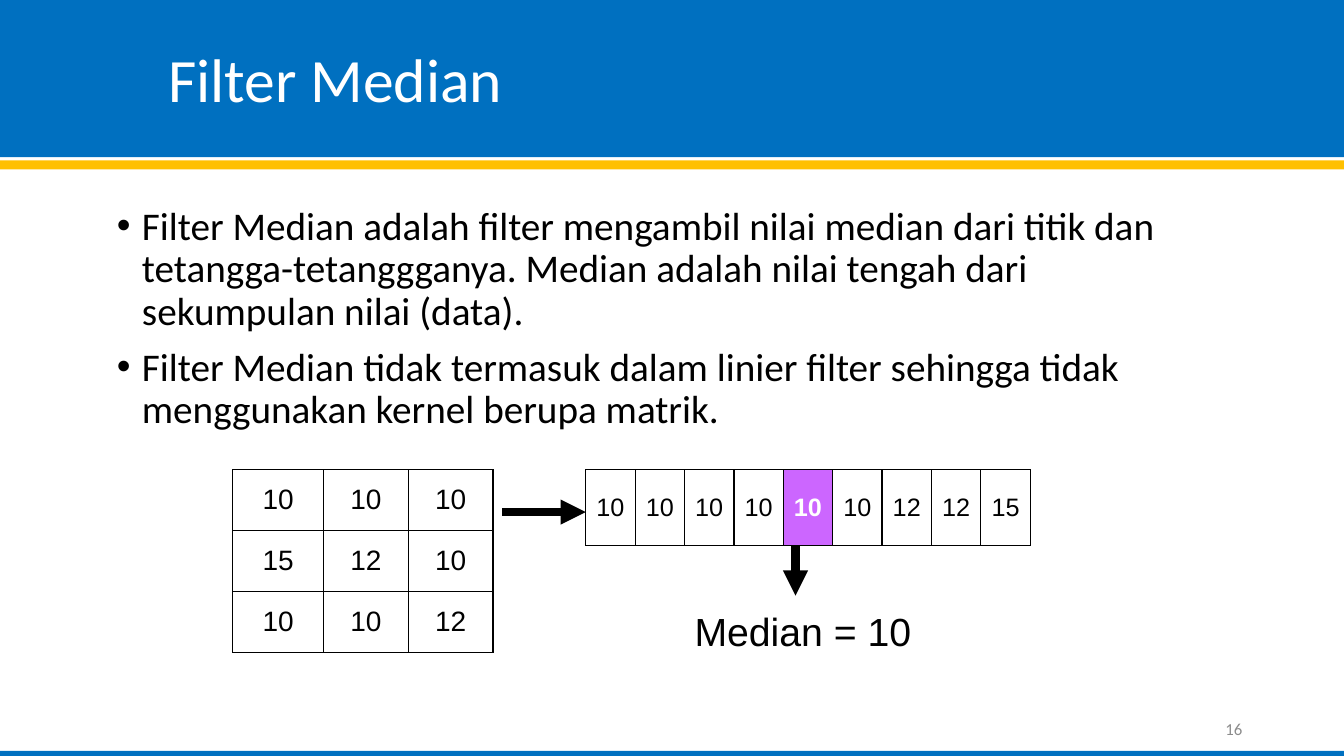
"""Build the slide that explains the median filter."""
from dataclasses import dataclass

from lxml.etree import SubElement
from pptx import Presentation
from pptx.dml.color import RGBColor
from pptx.enum.shapes import MSO_CONNECTOR, MSO_SHAPE
from pptx.enum.text import MSO_ANCHOR, PP_ALIGN
from pptx.oxml import parse_xml
from pptx.oxml.ns import nsdecls, qn
from pptx.slide import Slide
from pptx.util import Inches, Pt

BLACK = "000000"
WHITE = "FFFFFF"
BLUE = "0070C0"
GOLD = "FFC000"
PURPLE = "CC66FF"
GREY = "8C8C8C"
SLIDE_WIDTH = 13.33


@dataclass
class Band:
    top: float
    height: float
    color: str


@dataclass
class Caption:
    lines: list[str]
    left: float
    top: float
    width: float
    height: float
    size: int
    color: str = BLACK
    font: str = "Calibri"
    align: PP_ALIGN = PP_ALIGN.LEFT
    anchor: MSO_ANCHOR = MSO_ANCHOR.TOP
    line_spacing: float = 1.0
    bullet: bool = False
    wrap: bool = True


@dataclass
class Grid:
    left: float
    top: float
    columns: list[float]
    rows: list[float]
    values: list[list[int]]
    size: int
    median_column: int | None = None


@dataclass
class Arrow:
    start: tuple[float, float]
    end: tuple[float, float]


BANDS = [Band(0, 1.56, BLUE), Band(1.59, 0.09, GOLD), Band(7.45, 0.05, BLUE)]

CAPTIONS = [
    Caption(["Filter Median"], 1.57, 0.18, 11.27, 1.28, 44, WHITE,
            anchor=MSO_ANCHOR.MIDDLE, line_spacing=0.9),
    Caption(["Filter Median adalah filter mengambil nilai median dari titik dan "
             "tetangga-tetanggganya. Median adalah nilai tengah dari "
             "sekumpulan nilai (data).",
             "Filter Median tidak termasuk dalam linier filter sehingga tidak "
             "menggunakan kernel berupa matrik."],
            1.06, 2, 10.52, 2.52, 28, line_spacing=0.9, bullet=True),
    Caption(["Median = 10"], 6.79, 5.98, 2.36, 0.57, 28, font="Arial", wrap=False),
    Caption(["16"], 9.42, 7.03, 3, 0.4, 12, GREY,
            align=PP_ALIGN.RIGHT, anchor=MSO_ANCHOR.MIDDLE),
]

NEIGHBOURS = [[10, 10, 10], [15, 12, 10], [10, 10, 12]]
SORTED_VALUES = sorted(sum(NEIGHBOURS, []))

GRIDS = [
    Grid(2.31, 4.66, [0.9, 0.84, 0.84], [0.6, 0.61, 0.6], NEIGHBOURS, 20),
    Grid(5.81, 4.66, [0.49] * 9, [0.75], [SORTED_VALUES], 18,
         median_column=len(SORTED_VALUES) // 2),
]

ARROWS = [Arrow((4.98, 5.08), (5.81, 5.08)), Arrow((7.89, 5.41), (7.89, 5.91))]


def rgb(color: str) -> RGBColor:
    return RGBColor.from_string(color)


def write_text(para, text: str, *, size: int, color: str, font: str,
               bold: bool = False, align: PP_ALIGN = PP_ALIGN.LEFT) -> None:
    para.alignment = align
    span = para.add_run()
    span.text = text
    span.font.size = Pt(size)
    span.font.name = font
    span.font.bold = bold
    span.font.color.rgb = rgb(color)


def add_bullet(para) -> None:
    properties = para._p.get_or_add_pPr()
    properties.set("marL", str(Inches(0.25)))
    properties.set("indent", str(-Inches(0.25)))
    SubElement(properties, qn("a:buFont"), typeface="Arial")
    SubElement(properties, qn("a:buChar"), char="•")


def draw_band(page: Slide, band: Band) -> None:
    shape = page.shapes.add_shape(MSO_SHAPE.RECTANGLE, 0, Inches(band.top),
                                  Inches(SLIDE_WIDTH), Inches(band.height))
    shape.shadow.inherit = False
    shape.fill.solid()
    shape.fill.fore_color.rgb = rgb(band.color)
    shape.line.fill.background()


def draw_caption(page: Slide, caption: Caption) -> None:
    box = page.shapes.add_textbox(Inches(caption.left), Inches(caption.top),
                                  Inches(caption.width), Inches(caption.height))
    frame = box.text_frame
    frame.word_wrap = caption.wrap
    frame.vertical_anchor = caption.anchor
    for index, line in enumerate(caption.lines):
        para = frame.add_paragraph() if index else frame.paragraphs[0]
        if caption.bullet:
            add_bullet(para)
        para.line_spacing = caption.line_spacing
        para.space_before = Pt(10 if index else 0)
        write_text(para, line, size=caption.size, color=caption.color,
                   font=caption.font, align=caption.align)


def add_borders(cell) -> None:
    properties = cell._tc.get_or_add_tcPr()
    for index, side in enumerate(("lnL", "lnR", "lnT", "lnB")):
        properties.insert(index, parse_xml(
            f'<a:{side} {nsdecls("a")} w="{Pt(1)}"><a:solidFill>'
            f'<a:srgbClr val="{BLACK}"/></a:solidFill></a:{side}>'))


def draw_grid(page: Slide, grid: Grid) -> None:
    table = page.shapes.add_table(
        len(grid.rows), len(grid.columns), Inches(grid.left), Inches(grid.top),
        Inches(sum(grid.columns)), Inches(sum(grid.rows))).table
    table.first_row = False
    table.horz_banding = False
    for column, width in zip(table.columns, grid.columns):
        column.width = Inches(width)
    for row, height, values in zip(table.rows, grid.rows, grid.values):
        row.height = Inches(height)
        for index, (cell, value) in enumerate(zip(row.cells, values)):
            is_median = index == grid.median_column
            cell.margin_left = cell.margin_right = Inches(0.05)
            cell.vertical_anchor = MSO_ANCHOR.MIDDLE
            if is_median:
                cell.fill.solid()
                cell.fill.fore_color.rgb = rgb(PURPLE)
            else:
                cell.fill.background()
            add_borders(cell)
            write_text(cell.text_frame.paragraphs[0], str(value), size=grid.size,
                       color=WHITE if is_median else BLACK, font="Arial",
                       bold=is_median, align=PP_ALIGN.CENTER)


def draw_arrow(page: Slide, arrow: Arrow) -> None:
    connector = page.shapes.add_connector(
        MSO_CONNECTOR.STRAIGHT, *map(Inches, arrow.start + arrow.end))
    connector.line.width = Pt(6)
    connector.line.color.rgb = rgb(BLACK)
    SubElement(connector.line._get_or_add_ln(), qn("a:tailEnd"), type="triangle")
    SubElement(connector._element.spPr, qn("a:effectLst"))


def main() -> None:
    deck = Presentation()
    deck.slide_width = Inches(SLIDE_WIDTH)
    deck.slide_height = Inches(7.5)
    page = deck.slides.add_slide(deck.slide_layouts[6])
    for draw, items in ((draw_band, BANDS), (draw_caption, CAPTIONS),
                        (draw_grid, GRIDS), (draw_arrow, ARROWS)):
        for item in items:
            draw(page, item)
    deck.save("out.pptx")


if __name__ == "__main__":
    main()
